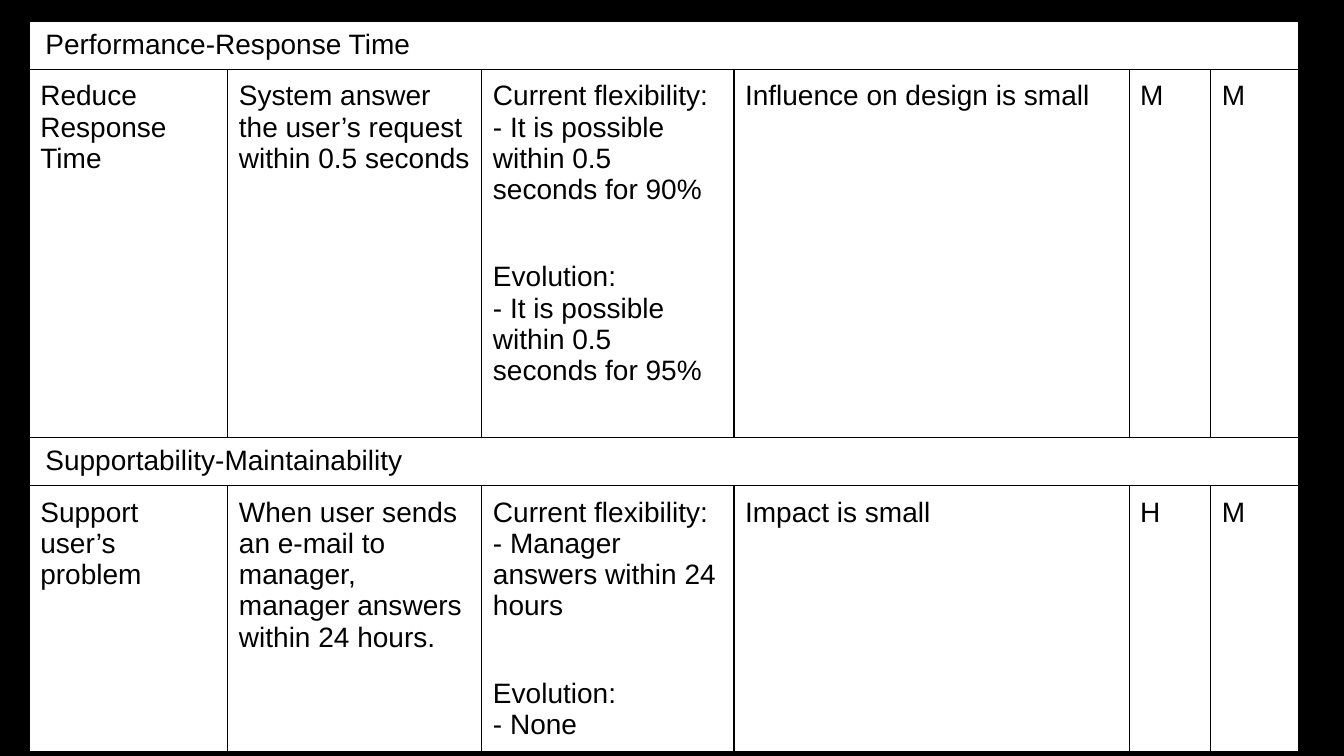
from pptx import Presentation
from pptx.dml.color import RGBColor
from pptx.enum.text import MSO_ANCHOR
from pptx.oxml.ns import qn
from pptx.util import Inches, Pt
from lxml import etree

TOP = MSO_ANCHOR.TOP

REQUIREMENTS = [
    ["Performance-Response Time"],
    ["Reduce Response Time",
     "System answer the user’s request within 0.5 seconds",
     ["Current flexibility:", "- It is possible within 0.5 seconds for 90%",
      "Evolution:", "- It is possible within 0.5 seconds for 95%"],
     "Influence on design is small", "M", "M"],
    ["Supportability-Maintainability"],
    ["Support user’s problem",
     "When user sends an e-mail to manager, manager answers within 24 hours.",
     ["Current flexibility:", "- Manager answers within 24 hours",
      "Evolution:", "- None"],
     "Impact is small", "H", "M"],
]
COLUMN_WIDTHS = [1.97, 2.52, 2.5, 3.92, 0.81, 0.87]
ROW_HEIGHTS = [0.48, 3.65, 0.48, 2.56]
TABLE_LEFT, TABLE_TOP = 0.29, 0.21
SECTION_MARGINS = (0.16, 0.08)
DETAIL_MARGINS = (0.11, 0.11)

THEME = {
    "background": RGBColor(0, 0, 0),
    "paper": RGBColor(255, 255, 255),
    "border": "000000",
    "border_width": Pt(1),
    "evolution_gap": Pt(40),
    "font": {"name": "Arial", "size": Pt(20)},
    "ink": RGBColor(0, 0, 0),
}


def draw_borders(cell):
    properties = cell._tc.get_or_add_tcPr()
    for side in ("lnL", "lnR", "lnT", "lnB"):
        line = etree.SubElement(properties, qn(f"a:{side}"), w=str(THEME["border_width"]))
        fill = etree.SubElement(line, qn("a:solidFill"))
        etree.SubElement(fill, qn("a:srgbClr"), val=THEME["border"])


def format_cell(cell, margins):
    horizontal, vertical = map(Inches, margins)
    settings = {"margin_left": horizontal, "margin_right": horizontal,
                "margin_top": vertical, "margin_bottom": vertical,
                "vertical_anchor": TOP}
    for name, value in settings.items():
        setattr(cell, name, value)
    draw_borders(cell)
    cell.fill.solid()
    cell.fill.fore_color.rgb = THEME["paper"]


def write_cell(cell, content):
    lines = content if isinstance(content, list) else [content]
    cell.text = "\n".join(lines)
    for paragraph in cell.text_frame.paragraphs:
        if paragraph.text == "Evolution:":
            paragraph.space_before = THEME["evolution_gap"]
        font = paragraph.runs[0].font
        for name, value in THEME["font"].items():
            setattr(font, name, value)
        font.color.rgb = THEME["ink"]


def add_requirements_table(slide):
    frame = slide.shapes.add_table(
        len(ROW_HEIGHTS), len(COLUMN_WIDTHS), Inches(TABLE_LEFT), Inches(TABLE_TOP),
        Inches(sum(COLUMN_WIDTHS)), Inches(sum(ROW_HEIGHTS)))
    table = frame.table
    table.first_row = table.horz_banding = False
    for column, width in zip(table.columns, COLUMN_WIDTHS):
        column.width = Inches(width)
    for row, height, contents in zip(table.rows, ROW_HEIGHTS, REQUIREMENTS):
        row.height = Inches(height)
        cells = list(row.cells)
        is_section = len(contents) == 1
        for cell in cells:
            format_cell(cell, SECTION_MARGINS if is_section else DETAIL_MARGINS)
        if is_section:
            cells[0].merge(cells[-1])
        for cell, content in zip(cells, contents):
            write_cell(cell, content)


def main():
    presentation = Presentation()
    presentation.slide_width, presentation.slide_height = Inches(13.33), Inches(7.5)
    slide = presentation.slides.add_slide(presentation.slide_layouts[6])
    slide.background.fill.solid()
    slide.background.fill.fore_color.rgb = THEME["background"]
    add_requirements_table(slide)
    presentation.save("out.pptx")


if __name__ == "__main__":
    main()
